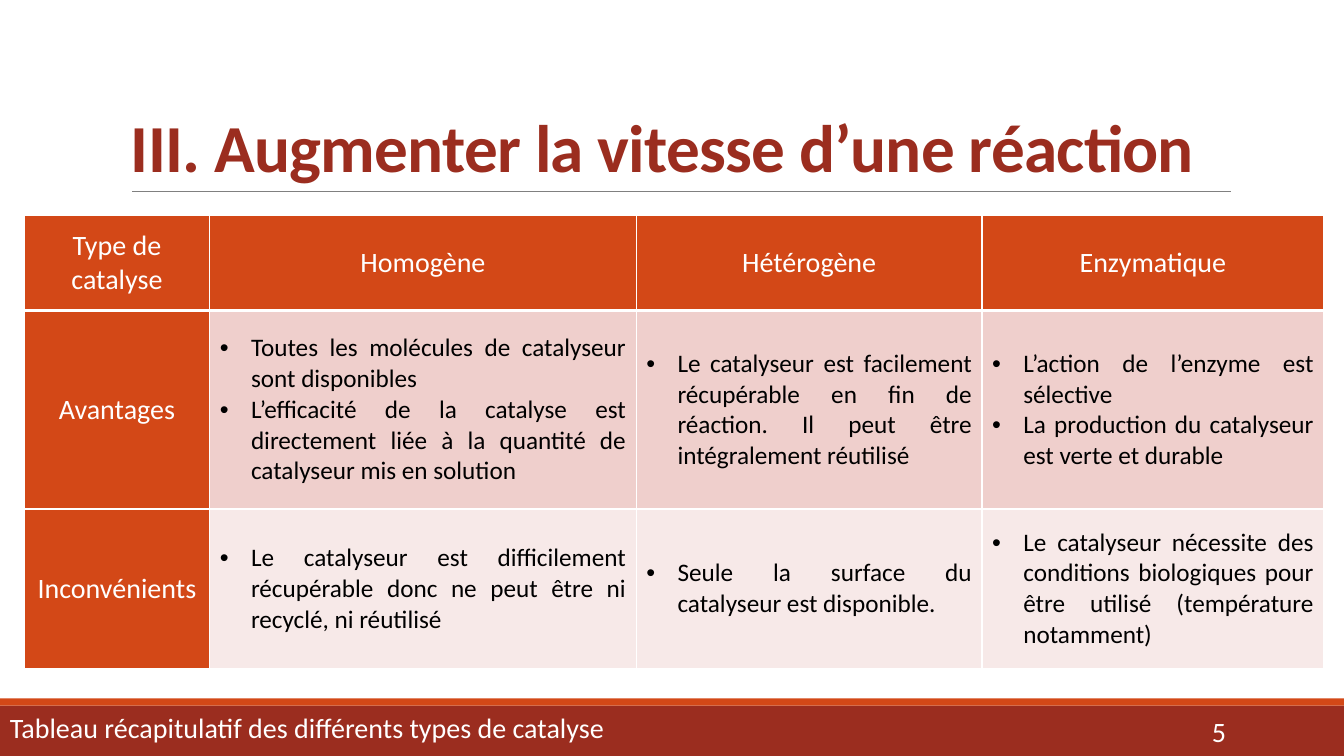
from lxml import etree
from pptx import Presentation
from pptx.dml.color import RGBColor
from pptx.enum.shapes import MSO_CONNECTOR, MSO_SHAPE
from pptx.enum.text import MSO_ANCHOR, PP_ALIGN
from pptx.oxml.ns import qn
from pptx.util import Inches, Pt

RECTANGLE = MSO_SHAPE.RECTANGLE
STRAIGHT = MSO_CONNECTOR.STRAIGHT
TOP, MIDDLE, BOTTOM = MSO_ANCHOR.TOP, MSO_ANCHOR.MIDDLE, MSO_ANCHOR.BOTTOM
LEFT, CENTER, RIGHT, JUSTIFY = PP_ALIGN.LEFT, PP_ALIGN.CENTER, PP_ALIGN.RIGHT, PP_ALIGN.JUSTIFY

WHITE = RGBColor(0xFF, 0xFF, 0xFF)
BLACK = RGBColor(0, 0, 0)
GRAY = RGBColor(0x80, 0x80, 0x80)
DARK_RED = RGBColor(0x9B, 0x2D, 0x1F)
ORANGE = RGBColor(0xD3, 0x48, 0x17)
PINK = RGBColor(0xEF, 0xCF, 0xCC)
PALE_PINK = RGBColor(0xF7, 0xE9, 0xE8)


def write_text(frame, *lines, size=20, color=WHITE, bold=False, align=LEFT,
               line_spacing=1.0, letter_spacing=0, bullet=False):
    for index, line in enumerate(lines):
        para = frame.add_paragraph() if index else frame.paragraphs[0]
        para.alignment = align
        para.line_spacing = line_spacing
        if bullet:
            properties = para._p.get_or_add_pPr()
            properties.set("marL", str(Inches(0.31)))
            properties.set("indent", str(-Inches(0.31)))
            etree.SubElement(properties, qn("a:buFont"), typeface="Arial")
            etree.SubElement(properties, qn("a:buChar"), char="•")
        span = para.add_run()
        span.text = line
        span.font.name = "Calibri"
        span.font.size = Pt(size)
        span.font.bold = bold
        span.font.color.rgb = color
        if letter_spacing:
            span._r.get_or_add_rPr().set("spc", str(int(letter_spacing * 100)))


def set_borders(cell, bottom_width):
    properties = cell._tc.get_or_add_tcPr()
    for side, width in (("L", 1), ("R", 1), ("T", 1), ("B", bottom_width)):
        border = etree.SubElement(properties, qn(f"a:ln{side}"), w=str(Pt(width)))
        fill = etree.SubElement(border, qn("a:solidFill"))
        etree.SubElement(fill, qn("a:srgbClr"), val=str(WHITE))


deck = Presentation()
deck.slide_width = Inches(13.33)
deck.slide_height = Inches(7.5)
page = deck.slides.add_slide(deck.slide_layouts[6])

# Footer bands and title rule
for top, height, color in ((7, 0.5, DARK_RED), (6.93, 0.07, ORANGE)):
    band = page.shapes.add_shape(RECTANGLE, 0, Inches(top), deck.slide_width, Inches(height))
    band.shadow.inherit = False
    band.fill.solid()
    band.fill.fore_color.rgb = color
    band.line.fill.background()

rule = page.shapes.add_connector(STRAIGHT, Inches(1.31), Inches(1.9), Inches(12.21), Inches(1.9))
rule.line.color.rgb = GRAY
rule.line.width = Pt(0.5)
etree.SubElement(rule._element.spPr, qn("a:effectLst"))

# Title, caption and page number
texts = [
    ("III. Augmenter la vitesse d’une réaction", (1.2, 0.31, 11, 1.59), BOTTOM,
     dict(size=48, color=DARK_RED, bold=True, line_spacing=0.85, letter_spacing=-0.5)),
    ("Tableau récapitulatif des différents types de catalyse", (0, 7.04, 13.33, 0.46), TOP,
     dict(line_spacing=0.9)),
    ("5", (10.83, 7.06, 1.43, 0.4), MIDDLE, dict(align=RIGHT)),
]
for text, place, anchor, style in texts:
    box = page.shapes.add_textbox(*map(Inches, place))
    box.text_frame.word_wrap = True
    box.text_frame.vertical_anchor = anchor
    write_text(box.text_frame, text, **style)

# Comparison table
column_widths = (1.84, 4.23, 3.43, 3.39)
row_heights = (0.94, 1.97, 1.58)
row_fills = (ORANGE, PINK, PALE_PINK)
rows = [
    [["Type de catalyse"], ["Homogène"], ["Hétérogène"], ["Enzymatique"]],
    [["Avantages"],
     ["Toutes les molécules de catalyseur sont disponibles",
      "L’efficacité de la catalyse est directement liée à la quantité de catalyseur mis en solution"],
     ["Le catalyseur est facilement récupérable en fin de réaction. "
      "Il peut être intégralement réutilisé"],
     ["L’action de l’enzyme est sélective",
      "La production du catalyseur est verte et durable"]],
    [["Inconvénients"],
     ["Le catalyseur est difficilement récupérable donc ne peut être ni recyclé, ni réutilisé"],
     ["Seule la surface du catalyseur est disponible."],
     ["Le catalyseur nécessite des conditions biologiques pour être utilisé "
      "(température notamment)"]],
]
table = page.shapes.add_table(len(rows), len(column_widths), Inches(0.24), Inches(2.14),
                              Inches(sum(column_widths)), Inches(sum(row_heights))).table
table.first_row = False
table.horz_banding = False
for column, width in zip(table.columns, column_widths):
    column.width = Inches(width)

for row_index, row in enumerate(rows):
    table.rows[row_index].height = Inches(row_heights[row_index])
    for column_index, lines in enumerate(row):
        cell = table.cell(row_index, column_index)
        is_header = row_index == 0 or column_index == 0
        set_borders(cell, bottom_width=1 if row_index else 3)
        cell.fill.solid()
        cell.fill.fore_color.rgb = ORANGE if is_header else row_fills[row_index]
        cell.vertical_anchor = MIDDLE
        if is_header:
            write_text(cell.text_frame, *lines, align=CENTER)
        else:
            write_text(cell.text_frame, *lines, size=18, color=BLACK, align=JUSTIFY, bullet=True)

deck.save("out.pptx")
